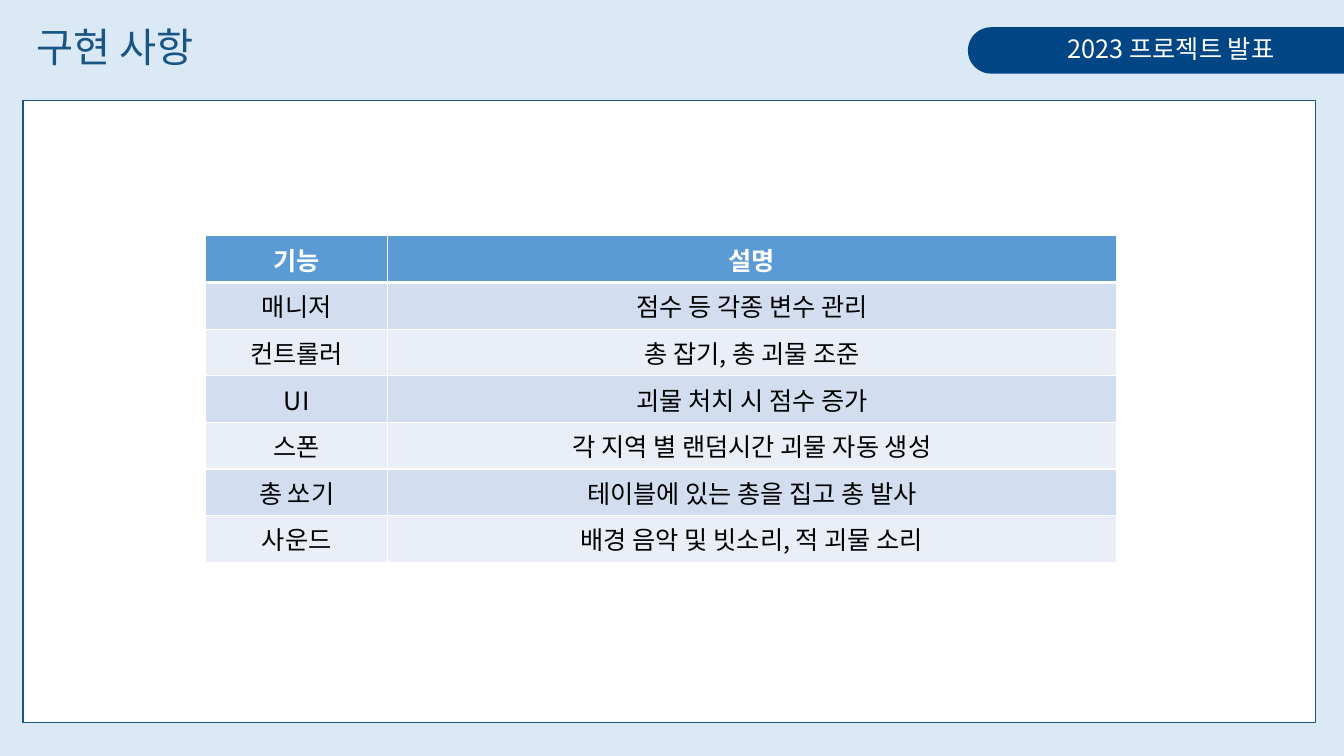
import pptx
import pptx.dml.color
import pptx.enum.shapes
import pptx.enum.text
import pptx.oxml.ns
import pptx.util
from lxml import etree

Inches = pptx.util.Inches
Shape = pptx.enum.shapes.MSO_SHAPE
Align = pptx.enum.text.PP_ALIGN
Anchor = pptx.enum.text.MSO_ANCHOR
qn = pptx.oxml.ns.qn

WIDTH, HEIGHT = 13.33, 7.5
FONT = "Noto Sans CJK KR"
COLORS = {
    "background": "DAE9F5", "panel": "FFFFFF", "accent": "185585",
    "badge": "004685", "header": "5B9BD5", "odd": "D2DEEF",
    "even": "EAEFF7", "light": "FFFFFF", "dark": "000000",
}
FEATURES = [
    ("기능", "설명"),
    ("매니저", "점수 등 각종 변수 관리"),
    ("컨트롤러", "총 잡기, 총 괴물 조준"),
    ("UI", "괴물 처치 시 점수 증가"),
    ("스폰", "각 지역 별 랜덤시간 괴물 자동 생성"),
    ("총 쏘기", "테이블에 있는 총을 집고 총 발사"),
    ("사운드", "배경 음악 및 빗소리, 적 괴물 소리"),
]


def rgb(name):
    return pptx.dml.color.RGBColor.from_string(COLORS[name])


def paint(target, name):
    target.fill.solid()
    target.fill.fore_color.rgb = rgb(name)


def write(frame, text, size, color, align, bold=False):
    paragraph = frame.paragraphs[0]
    paragraph.alignment = align
    run = paragraph.add_run()
    run.text = text
    style = {"name": FONT, "size": pptx.util.Pt(size), "bold": bold}
    for attribute, value in style.items():
        setattr(run.font, attribute, value)
    run.font.color.rgb = rgb(color)
    # Korean glyphs use the East Asian typeface
    etree.SubElement(run.font._element, qn("a:ea"), typeface=FONT)
    return paragraph


def add_panel(slide, box):
    panel = slide.shapes.add_shape(Shape.RECTANGLE, *map(Inches, box))
    paint(panel, "panel")
    panel.line.color.rgb = rgb("accent")
    panel.line.width = pptx.util.Pt(1)
    panel.shadow.inherit = False


def add_badge(slide, box):
    left, top, width, height = box
    # Turned a quarter left, so the rounded end faces the title
    pill = slide.shapes.add_shape(
        Shape.ROUND_2_SAME_RECTANGLE,
        Inches(left + (width - height) / 2), Inches(top + (height - width) / 2),
        Inches(height), Inches(width))
    pill.rotation = 270
    pill.adjustments[0] = 0.5
    paint(pill, "badge")
    pill.line.fill.background()
    pill.shadow.inherit = False

    label = slide.shapes.add_textbox(
        Inches(left + 0.21 * width), Inches(top + 0.01),
        Inches(0.66 * width), Inches(0.4))
    label.text_frame.word_wrap = False
    write(label.text_frame, "2023 프로젝트 발표", 18, "light", Align.CENTER)


def set_title(slide, box):
    title = slide.shapes.title
    for side, value in zip(("left", "top", "width", "height"), box):
        setattr(title, side, Inches(value))
    title.text_frame.vertical_anchor = Anchor.MIDDLE
    paragraph = write(title.text_frame, "구현 사항", 28.8, "accent", Align.LEFT)
    paragraph.line_spacing = 0.9


def set_borders(cell, widths):
    properties = cell._tc.get_or_add_tcPr()
    for side, points in widths.items():
        line = etree.SubElement(properties, qn(f"a:ln{side}"),
                                w=str(pptx.util.Pt(points)))
        fill = etree.SubElement(line, qn("a:solidFill"))
        etree.SubElement(fill, qn("a:srgbClr"), val=COLORS["light"])


def add_feature_table(slide, box):
    left, top, width, height = box
    table = slide.shapes.add_table(
        len(FEATURES), 2, *map(Inches, box)).table
    for column, share in zip(table.columns, (0.2, 0.8)):
        column.width = Inches(width * share)
    for r, row in enumerate(FEATURES):
        table.rows[r].height = Inches(height / len(FEATURES))
        is_header = r == 0
        fill = "header" if is_header else "odd" if r % 2 else "even"
        borders = {"L": 1, "R": 1, "T": 3 if r == 1 else 1,
                   "B": 3 if is_header else 1}
        for c, text in enumerate(row):
            cell = table.cell(r, c)
            set_borders(cell, borders)
            paint(cell, fill)
            write(cell.text_frame, text, 18,
                  "light" if is_header else "dark", Align.CENTER, is_header)


def main():
    deck = pptx.Presentation()
    deck.slide_width, deck.slide_height = Inches(WIDTH), Inches(HEIGHT)
    slide = deck.slides.add_slide(deck.slide_layouts[5])
    paint(slide.background, "background")

    add_panel(slide, (0.23, 1, 12.82, 6.17))
    add_badge(slide, (WIDTH - 3.73, 0.27, 3.73, 0.46))
    set_title(slide, (0.26, 0.28, 8.33, 0.43))
    add_feature_table(slide, (2.04, 2.34, 9.03, 3.24))
    deck.save("out.pptx")


if __name__ == "__main__":
    main()
